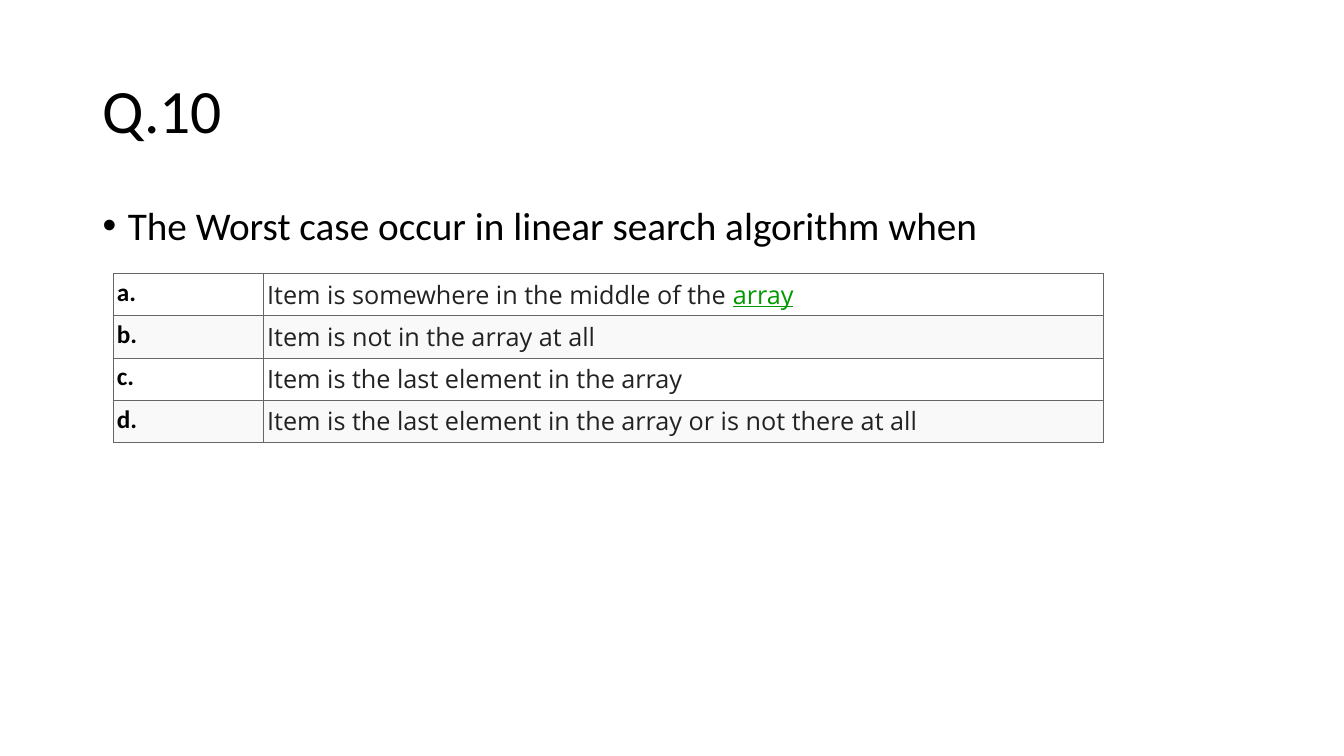
from dataclasses import dataclass

from lxml.etree import SubElement
from pptx import Presentation
from pptx.dml.color import RGBColor
from pptx.enum.text import MSO_ANCHOR
from pptx.oxml.ns import qn
from pptx.util import Inches, Pt


@dataclass(frozen=True)
class Theme:
    heading_font: str = "Calibri"
    answer_font: str = "Open Sans"
    title_size: float = 44
    question_size: float = 28
    answer_size: float = 18
    black: str = "000000"
    answer_color: str = "222222"
    link_color: str = "009900"
    border_color: str = "666666"
    border_width: float = 0.38
    row_fills: tuple[str, str] = ("FFFFFF", "F9F9F9")


@dataclass(frozen=True)
class Answer:
    label: str
    text: str
    linked_word: str = ""


THEME = Theme()
ANSWERS = (
    Answer("a.", "Item is somewhere in the middle of the ", "array"),
    Answer("b.", "Item is not in the array at all"),
    Answer("c.", "Item is the last element in the array"),
    Answer("d.", "Item is the last element in the array or is not there at all"),
)
COLUMN_WIDTHS = (1.49, 8.33)
ROW_HEIGHT = 0.42
CELL_MARGIN = 0.04


def write(paragraph, text: str, *, size: float, font: str = THEME.heading_font,
          color: str = THEME.black, bold: bool = False, underline: bool = False) -> None:
    run = paragraph.add_run()
    run.text = text
    run.font.name = font
    run.font.size = Pt(size)
    run.font.color.rgb = RGBColor.from_string(color)
    run.font.bold = bold
    run.font.underline = underline


def add_text_area(slide, top: float, height: float, anchor: MSO_ANCHOR):
    """Add a full-width text box and return its first paragraph."""
    frame = slide.shapes.add_textbox(
        Inches(0.92), Inches(top), Inches(11.5), Inches(height)).text_frame
    frame.word_wrap = True
    frame.vertical_anchor = anchor
    paragraph = frame.paragraphs[0]
    paragraph.line_spacing = 0.9
    return paragraph


def add_bullet(paragraph, indent: float) -> None:
    properties = paragraph._p.get_or_add_pPr()
    properties.set("marL", str(Inches(indent)))
    properties.set("indent", str(-Inches(indent)))
    SubElement(properties, qn("a:buFont"), typeface="Arial")
    SubElement(properties, qn("a:buChar"), char="•")


def style_cell(cell, fill: str) -> None:
    cell.margin_left = cell.margin_right = Inches(CELL_MARGIN)
    cell.margin_top = cell.margin_bottom = Inches(CELL_MARGIN)
    properties = cell._tc.get_or_add_tcPr()
    for side in ("lnL", "lnR", "lnT", "lnB"):
        border = SubElement(properties, qn(f"a:{side}"), w=str(Pt(THEME.border_width)))
        paint = SubElement(border, qn("a:solidFill"))
        SubElement(paint, qn("a:srgbClr"), val=THEME.border_color)
    cell.fill.solid()
    cell.fill.fore_color.rgb = RGBColor.from_string(fill)


def add_answers(slide, answers: tuple[Answer, ...]) -> None:
    table = slide.shapes.add_table(
        len(answers), len(COLUMN_WIDTHS), Inches(1.12), Inches(2.71),
        Inches(sum(COLUMN_WIDTHS)), Inches(ROW_HEIGHT * len(answers))).table
    table.first_row = table.horz_banding = False
    for column, width in zip(table.columns, COLUMN_WIDTHS):
        column.width = Inches(width)

    for index, answer in enumerate(answers):
        label_cell, answer_cell = table.rows[index].cells
        for cell in (label_cell, answer_cell):
            style_cell(cell, THEME.row_fills[index % 2])
        write(label_cell.text_frame.paragraphs[0], answer.label,
              size=THEME.answer_size, bold=True)
        answer_line = answer_cell.text_frame.paragraphs[0]
        write(answer_line, answer.text, size=THEME.answer_size,
              font=THEME.answer_font, color=THEME.answer_color)
        if answer.linked_word:
            write(answer_line, answer.linked_word, size=THEME.answer_size,
                  font=THEME.answer_font, color=THEME.link_color, underline=True)


def main() -> None:
    presentation = Presentation()
    presentation.slide_width = Inches(13.33)
    presentation.slide_height = Inches(7.5)
    slide = presentation.slides.add_slide(presentation.slide_layouts[6])

    title = add_text_area(slide, 0.4, 1.45, MSO_ANCHOR.MIDDLE)
    write(title, "Q.10", size=THEME.title_size)

    question = add_text_area(slide, 2, 4.76, MSO_ANCHOR.TOP)
    question.space_before = Pt(10)
    add_bullet(question, 0.25)
    write(question, "The Worst case occur in linear search algorithm when",
          size=THEME.question_size)

    add_answers(slide, ANSWERS)
    presentation.save("out.pptx")


if __name__ == "__main__":
    main()
